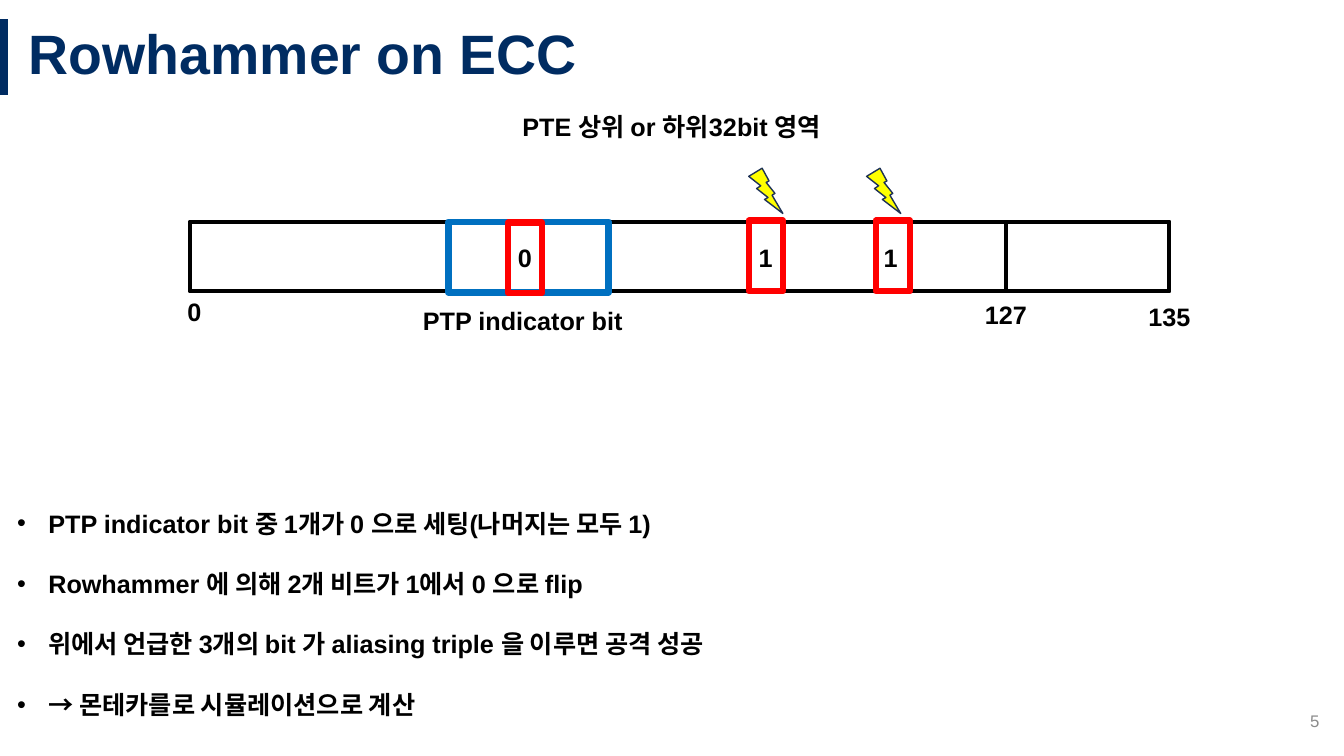
"""Builds the slide on Rowhammer attacks against an ECC codeword."""
import pptx
import pptx.util
import pptx.dml.color
import pptx.enum.shapes
import pptx.enum.text
from lxml import etree

Cm, Pt = pptx.util.Cm, pptx.util.Pt
SHAPE = pptx.enum.shapes.MSO_SHAPE
ALIGN = pptx.enum.text.PP_ALIGN
ANCHOR = pptx.enum.text.MSO_ANCHOR

THEME = {
    "font": "Arial", "navy": "002C62", "black": "000000", "gray": "8C8C8C",
    "red": "FF0000", "blue": "0070C0", "yellow": "FFFF00", "bolt_edge": "1E3256",
    "title": 39.6, "body": 18, "number": 12,
    "accent_line": 6, "word_line": 3, "mark_line": 4.5, "bolt_line": 1,
}

TITLE = "Rowhammer on ECC"
PAGE = "5"
FINDINGS = [
    "PTP indicator bit 중 1개가 0 으로 세팅(나머지는 모두 1)",
    "Rowhammer 에 의해 2개 비트가 1에서 0 으로 flip",
    "위에서 언급한 3개의 bit 가 aliasing triple 을 이루면 공격 성공",
    "→ 몬테카를로 시뮬레이션으로 계산",
]
LABELS = [
    ("0", 4.47, 7.34, 0.94, ALIGN.LEFT),
    ("127", 24.51, 7.42, 1.68, ALIGN.CENTER),
    ("135", 28.63, 7.47, 1.68, ALIGN.CENTER),
    ("0", 12.8, 5.99, 0.86, ALIGN.LEFT),
    ("1", 18.87, 5.99, 0.94, ALIGN.LEFT),
    ("1", 22.02, 5.99, 0.94, ALIGN.LEFT),
    ("PTP indicator bit", 10.41, 7.57, 6.76, ALIGN.LEFT),
    ("PTE 상위 or 하위32bit 영역", 12.4, 2.67, 9.06, ALIGN.CENTER),
]

WORD_LEFT, WORD_RIGHT, CHECK_LEFT = 4.78, 29.46, 25.35
WORD_TOP, WORD_HEIGHT = 5.59, 1.75
MARK_HEIGHT, BIT_WIDTH = 1.78, 0.86
INDICATOR_LEFT, INDICATOR_WIDTH = 11.3, 4.04
MARKED_BITS = [(18.87, 5.56), (22.07, 5.56), (12.8, 5.61)]
BOLT_LEFTS, BOLT_TOP, BOLT_HEIGHT = [18.87, 21.84], 4.24, 1.14
BULLET_INDENT = 0.79


def color(name):
    return pptx.dml.color.RGBColor.from_string(THEME[name])


def add_text(slide, lines, box, size="body", ink="black", bold=True,
             align=ALIGN.LEFT, anchor=ANCHOR.TOP, spacing=None, bullets=False):
    frame = slide.shapes.add_textbox(*map(Cm, box)).text_frame
    frame.word_wrap = True
    frame.vertical_anchor = anchor
    frame.text = "\n".join(lines)
    for paragraph in frame.paragraphs:
        if bullets:
            properties = paragraph._p.get_or_add_pPr()
            properties.set("marL", str(Cm(BULLET_INDENT)))
            properties.set("indent", str(-Cm(BULLET_INDENT)))
            for tag, key, value in (("a:buFont", "typeface", THEME["font"]),
                                    ("a:buChar", "char", "•")):
                etree.SubElement(properties, pptx.oxml.ns.qn(tag)).set(key, value)
        paragraph.alignment = align
        if spacing:
            paragraph.line_spacing = spacing
        paragraph.font.name = THEME["font"]
        paragraph.font.size = Pt(THEME[size])
        paragraph.font.bold = bold
        paragraph.font.color.rgb = color(ink)


def add_outline(slide, box, edge, weight, kind=SHAPE.RECTANGLE, fill=None):
    shape = slide.shapes.add_shape(kind, *map(Cm, box))
    shape.shadow.inherit = False
    if fill:
        shape.fill.solid()
        shape.fill.fore_color.rgb = color(fill)
    else:
        shape.fill.background()
    shape.line.color.rgb = color(edge)
    shape.line.width = Pt(THEME[weight])


def add_accent(slide):
    accent = slide.shapes.add_connector(
        pptx.enum.shapes.MSO_CONNECTOR.STRAIGHT, Cm(0.1), Cm(0.48), Cm(0.1), Cm(2.4))
    accent.line.color.rgb = color("navy")
    accent.line.width = Pt(THEME["accent_line"])
    etree.SubElement(accent._element.spPr, pptx.oxml.ns.qn("a:effectLst"))


def main():
    deck = pptx.Presentation()
    deck.slide_width, deck.slide_height = Cm(33.87), Cm(19.05)
    slide = deck.slides.add_slide(deck.slide_layouts[6])

    add_accent(slide)
    add_text(slide, [TITLE], (0.48, 0.48, 33.39, 1.91), "title", "navy",
             anchor=ANCHOR.MIDDLE, spacing=0.9)
    add_text(slide, [PAGE], (25.88, 17.65, 7.62, 1.02), "number", "gray", False,
             ALIGN.RIGHT, ANCHOR.MIDDLE)
    add_text(slide, FINDINGS, (0.18, 11.91, 33.3, 6.17), spacing=2.0, bullets=True)

    for left in (WORD_LEFT, CHECK_LEFT):
        add_outline(slide, (left, WORD_TOP, WORD_RIGHT - left, WORD_HEIGHT),
                    "black", "word_line")
    add_outline(slide, (INDICATOR_LEFT, WORD_TOP, INDICATOR_WIDTH, MARK_HEIGHT),
                "blue", "mark_line")
    for left, top in MARKED_BITS:
        add_outline(slide, (left, top, BIT_WIDTH, MARK_HEIGHT), "red", "mark_line")
    for left in BOLT_LEFTS:
        add_outline(slide, (left, BOLT_TOP, BIT_WIDTH, BOLT_HEIGHT), "bolt_edge",
                    "bolt_line", SHAPE.LIGHTNING_BOLT, "yellow")
    for label, left, top, width, align in LABELS:
        add_text(slide, [label], (left, top, width, 1.02), align=align)

    deck.save("out.pptx")


if __name__ == "__main__":
    main()
